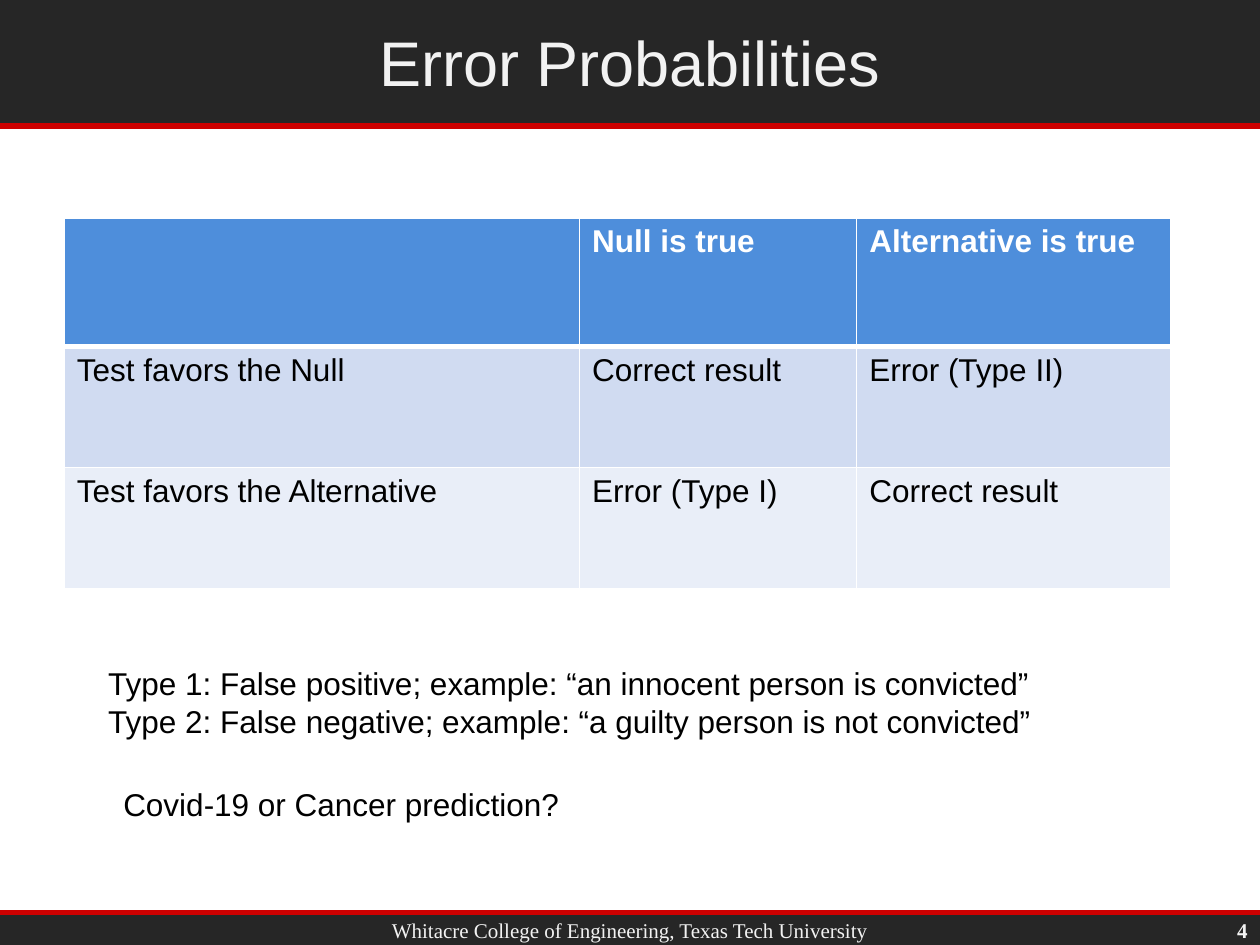
from lxml.etree import SubElement
from pptx import Presentation
from pptx.dml.color import RGBColor
from pptx.enum.shapes import MSO_CONNECTOR, MSO_SHAPE
from pptx.enum.text import MSO_ANCHOR, PP_ALIGN
from pptx.oxml.ns import qn
from pptx.util import Inches, Pt

COLORS = {
    "bar": "262626",
    "rule": "CC0000",
    "light": "F2F2F2",
    "white": "FFFFFF",
    "black": "000000",
    "header": "4E8EDB",
    "band_dark": "D0DBF1",
    "band_light": "E9EEF8",
}
SERIF = "Times New Roman"
ROWS = [
    ["", "Null is true", "Alternative is true"],
    ["Test favors the Null", "Correct result", "Error (Type II)"],
    ["Test favors the Alternative", "Error (Type I)", "Correct result"],
]
ROW_FILLS = ["header", "band_dark", "band_light"]
COLUMN_WIDTHS = [4.09, 2.2, 2.49]
ROW_HEIGHTS = [1.02, 0.96, 0.96]


def color(name):
    return RGBColor.from_string(COLORS[name])


def write(frame, text, size=18, font="Arial", fill="black", bold=False,
          align=PP_ALIGN.LEFT, anchor=MSO_ANCHOR.TOP):
    """Fill a text frame with one paragraph; a vertical tab breaks the line."""
    frame.word_wrap = True
    frame.vertical_anchor = anchor
    para = frame.paragraphs[0]
    para.text = text
    para.alignment = align
    for span in para.runs:
        span.font.size = Pt(size)
        span.font.name = font
        span.font.bold = bold
        span.font.color.rgb = color(fill)


def add_text(page, at, text, **style):
    box = page.shapes.add_textbox(*map(Inches, at))
    write(box.text_frame, text, **style)


def add_bar(page, top, height, rule_y):
    """Draw a dark full-width bar with a red rule on its inner edge."""
    bar = page.shapes.add_shape(
        MSO_SHAPE.RECTANGLE, 0, Inches(top), Inches(10), Inches(height))
    bar.shadow.inherit = False
    bar.fill.solid()
    bar.fill.fore_color.rgb = color("bar")
    bar.line.fill.background()
    rule = page.shapes.add_connector(
        MSO_CONNECTOR.STRAIGHT, 0, Inches(rule_y), Inches(10), Inches(rule_y))
    rule.line.color.rgb = color("rule")
    rule.line.width = Pt(3)
    SubElement(rule.element.spPr, qn("a:effectLst"))


def add_title(page, text):
    title = page.shapes.title
    title.left, title.top, title.width, title.height = map(
        Inches, (1.01, 0.04, 7.98, 0.89))
    write(title.text_frame, text, size=36, fill="light",
          align=PP_ALIGN.CENTER, anchor=MSO_ANCHOR.MIDDLE)
    # Bring the title in front of the top bar.
    title.element.getparent().append(title.element)


def set_borders(cell, top, bottom):
    """Give a cell white borders, with the top and bottom widths in points."""
    properties = cell._tc.get_or_add_tcPr()
    for side, width in (("L", 1), ("R", 1), ("T", top), ("B", bottom)):
        line = SubElement(properties, qn(f"a:ln{side}"), w=str(Pt(width)))
        fill = SubElement(line, qn("a:solidFill"))
        SubElement(fill, qn("a:srgbClr"), val=COLORS["white"])


def add_error_table(page):
    table = page.shapes.add_table(
        len(ROWS), len(COLUMN_WIDTHS), Inches(0.51), Inches(1.73),
        Inches(sum(COLUMN_WIDTHS)), Inches(sum(ROW_HEIGHTS))).table
    for column, width in zip(table.columns, COLUMN_WIDTHS):
        column.width = Inches(width)
    for r, texts in enumerate(ROWS):
        table.rows[r].height = Inches(ROW_HEIGHTS[r])
        is_header = r == 0
        for c, text in enumerate(texts):
            cell = table.cell(r, c)
            set_borders(cell, top=3 if r == 1 else 1,
                        bottom=3 if is_header else 1)
            cell.fill.solid()
            cell.fill.fore_color.rgb = color(ROW_FILLS[r])
            write(cell.text_frame, text, bold=is_header,
                  fill="white" if is_header else "black")


def main():
    deck = Presentation()
    deck.slide_width, deck.slide_height = Inches(10), Inches(7.5)
    page = deck.slides.add_slide(deck.slide_layouts[5])

    add_bar(page, 7.24, 0.26, rule_y=7.24)
    add_bar(page, 0, 1, rule_y=1)
    footer = {"size": 12, "font": SERIF, "fill": "light",
              "anchor": MSO_ANCHOR.MIDDLE}
    add_text(page, (1.01, 7.23, 7.98, 0.3),
             "Whitacre College of Engineering, Texas Tech University",
             align=PP_ALIGN.CENTER, **footer)
    add_text(page, (9.28, 7.25, 0.72, 0.26), "4", bold=True,
             align=PP_ALIGN.RIGHT, **footer)
    add_title(page, "Error Probabilities")

    add_error_table(page)
    add_text(page, (0.76, 5.22, 9.24, 0.71),
             "Type 1: False positive; example: “an innocent person is convicted”\v"
             "Type 2: False negative; example: “a guilty person is not convicted”")
    add_text(page, (0.88, 6.18, 4.41, 0.4), "Covid-19 or Cancer prediction?")

    deck.save("out.pptx")


if __name__ == "__main__":
    main()
